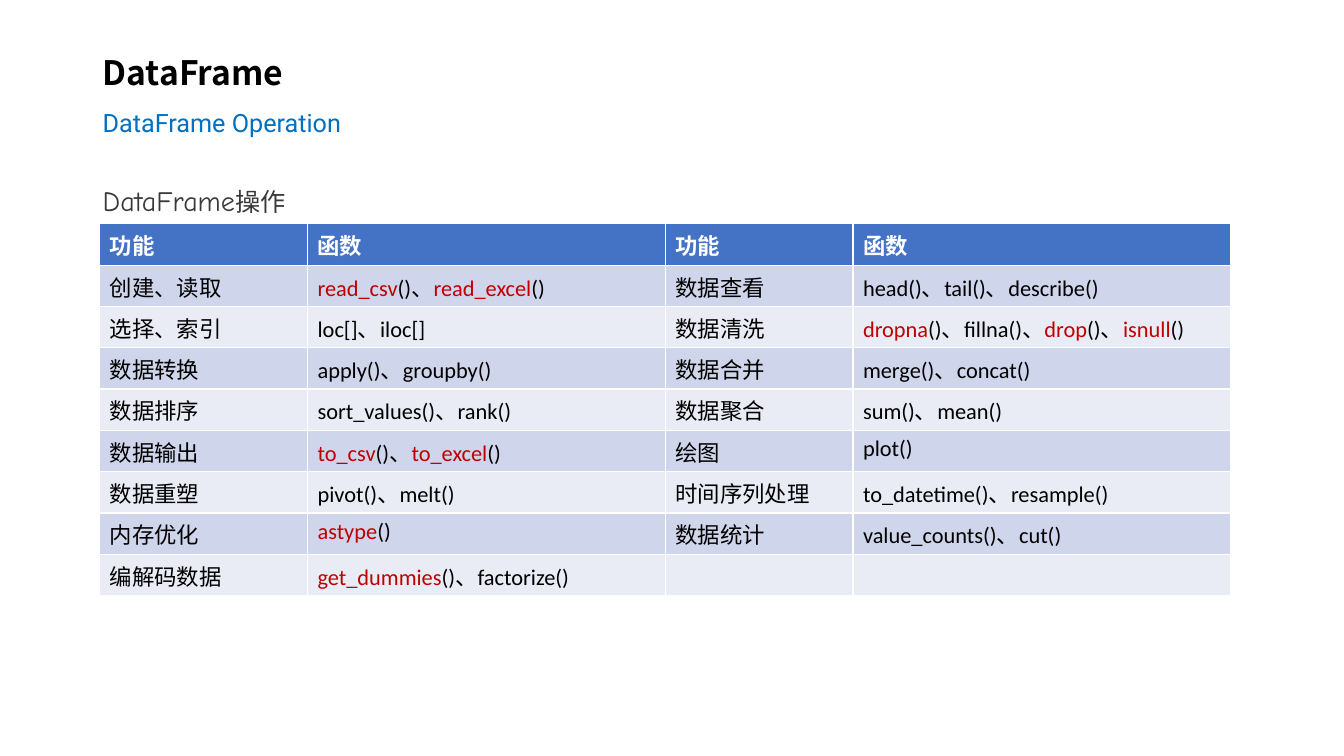
"""Build the DataFrame operations slide."""
from pptx import Presentation
from pptx.dml.color import RGBColor
from pptx.enum.text import MSO_ANCHOR
from pptx.oxml import parse_xml
from pptx.oxml.ns import nsdecls
from pptx.util import Inches, Pt

BLACK = RGBColor(0x00, 0x00, 0x00)
WHITE = RGBColor(0xFF, 0xFF, 0xFF)
BLUE = RGBColor(0x00, 0x70, 0xC0)
GRAY = RGBColor(0x3B, 0x38, 0x38)
RED = RGBColor(0xC0, 0x00, 0x00)
HEADER_FILL = RGBColor(0x44, 0x72, 0xC4)
BAND_FILLS = (RGBColor(0xE9, 0xEB, 0xF5), RGBColor(0xCF, 0xD5, 0xEA))
CHINESE_FONT = "Noto Sans CJK SC"

TITLE = "DataFrame"
SUBTITLE = "DataFrame Operation"
CAPTION = ("DataFrame", "操作")
HIGHLIGHT = "*"
ROWS = [
    ("功能", "函数", "功能", "函数"),
    ("创建、读取", "*read_csv*()、*read_excel*()", "数据查看", "head()、tail()、describe()"),
    ("选择、索引", "loc[]、iloc[]", "数据清洗", "*dropna*()、fillna()、*drop*()、*isnull*()"),
    ("数据转换", "apply()、groupby()", "数据合并", "merge()、concat()"),
    ("数据排序", "sort_values()、rank()", "数据聚合", "sum()、mean()"),
    ("数据输出", "*to_csv*()、*to_excel*()", "绘图", "plot()"),
    ("数据重塑", "pivot()、melt()", "时间序列处理", "to_datetime()、resample()"),
    ("内存优化", "*astype*()", "数据统计", "value_counts()、cut()"),
    ("编解码数据", "*get_dummies*()、factorize()", "", ""),
]
COLUMN_WIDTHS = (2.06, 3.55, 1.86, 3.75)
ROW_HEIGHT = 0.41


def add_text(para, text, *, size=16, font="Calibri", color=BLACK, bold=False):
    span = para.add_run()
    span.text = text
    span.font.size = Pt(size)
    span.font.name = font
    span.font.color.rgb = color
    span.font.bold = bold
    span.font._element.append(
        parse_xml(f'<a:ea {nsdecls("a")} typeface="{CHINESE_FONT}"/>'))


def add_paragraph_box(page, top, height, anchor):
    box = page.shapes.add_textbox(Inches(0.92), Inches(top), Inches(11.5), Inches(height))
    box.text_frame.word_wrap = True
    box.text_frame.vertical_anchor = anchor
    para = box.text_frame.paragraphs[0]
    para.line_spacing = 1.5
    return para


def add_function_table(page):
    frame = page.shapes.add_table(
        len(ROWS), len(COLUMN_WIDTHS), Inches(0.99), Inches(2.22),
        Inches(sum(COLUMN_WIDTHS)), Inches(ROW_HEIGHT * len(ROWS)))
    table = frame.table
    for column, width in zip(table.columns, COLUMN_WIDTHS):
        column.width = Inches(width)
    for row_index, texts in enumerate(ROWS):
        header = row_index == 0
        table.rows[row_index].height = Inches(ROW_HEIGHT)
        for column_index, text in enumerate(texts):
            cell = table.cell(row_index, column_index)
            cell.fill.solid()
            cell.fill.fore_color.rgb = HEADER_FILL if header else BAND_FILLS[row_index % 2]
            para = cell.text_frame.paragraphs[0]
            for part_index, part in enumerate(text.split(HIGHLIGHT)):
                color = WHITE if header else RED if part_index % 2 else BLACK
                if part:
                    add_text(para, part, color=color, bold=header)


def main():
    deck = Presentation()
    deck.slide_width, deck.slide_height = Inches(13.33), Inches(7.5)
    page = deck.slides.add_slide(deck.slide_layouts[6])

    heading = add_paragraph_box(page, 0.21, 1.26, MSO_ANCHOR.MIDDLE)
    add_text(heading, TITLE, size=24, font=CHINESE_FONT, bold=True)
    heading.add_line_break()
    add_text(heading, SUBTITLE, size=18, font="Roboto", color=BLUE)

    caption = add_paragraph_box(page, 1.61, 5.14, MSO_ANCHOR.TOP)
    caption.space_before = Pt(10)
    for text, size in zip(CAPTION, (20, 18)):
        add_text(caption, text, size=size, font="Comic Neue", color=GRAY)

    add_function_table(page)
    deck.save("out.pptx")


if __name__ == "__main__":
    main()
